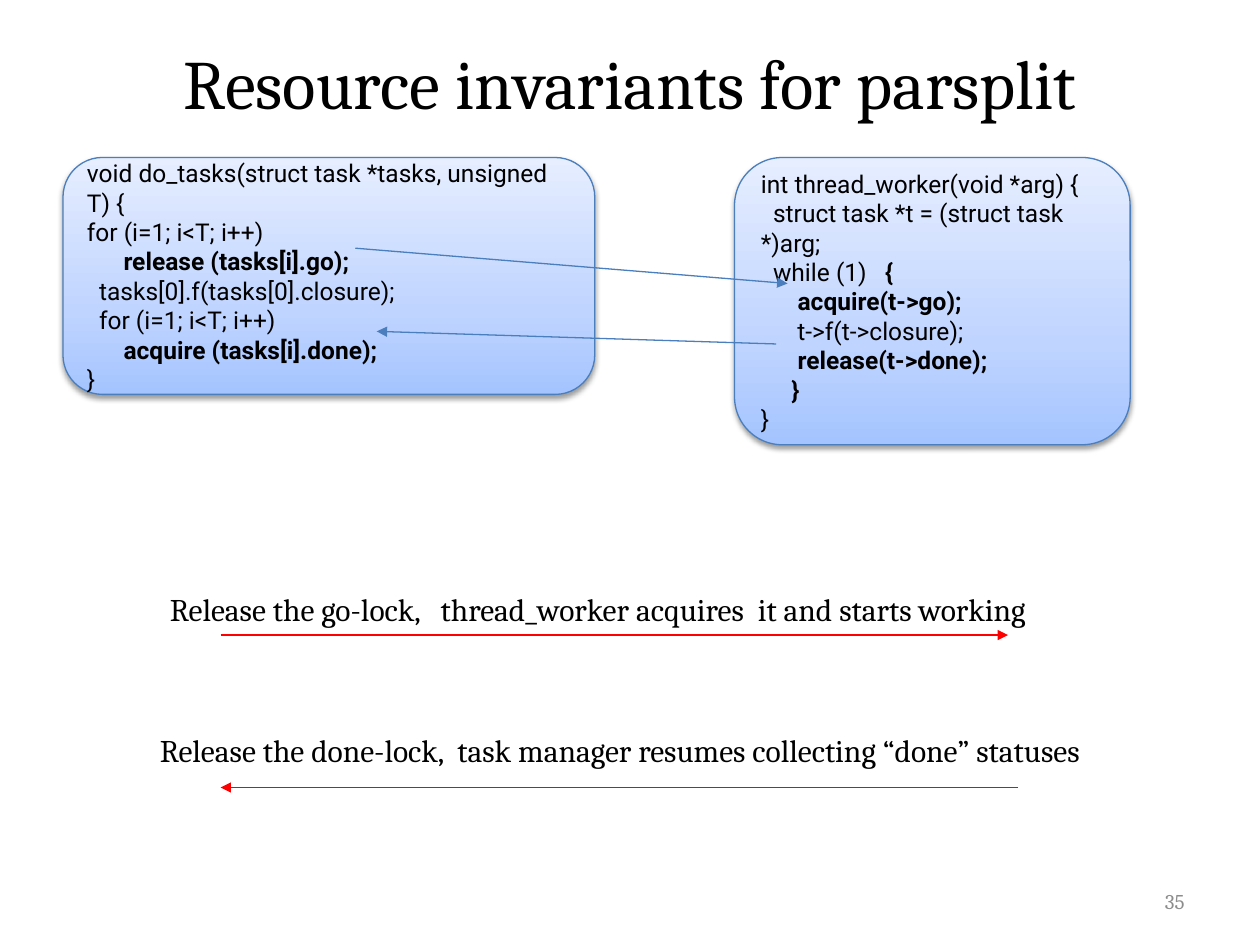
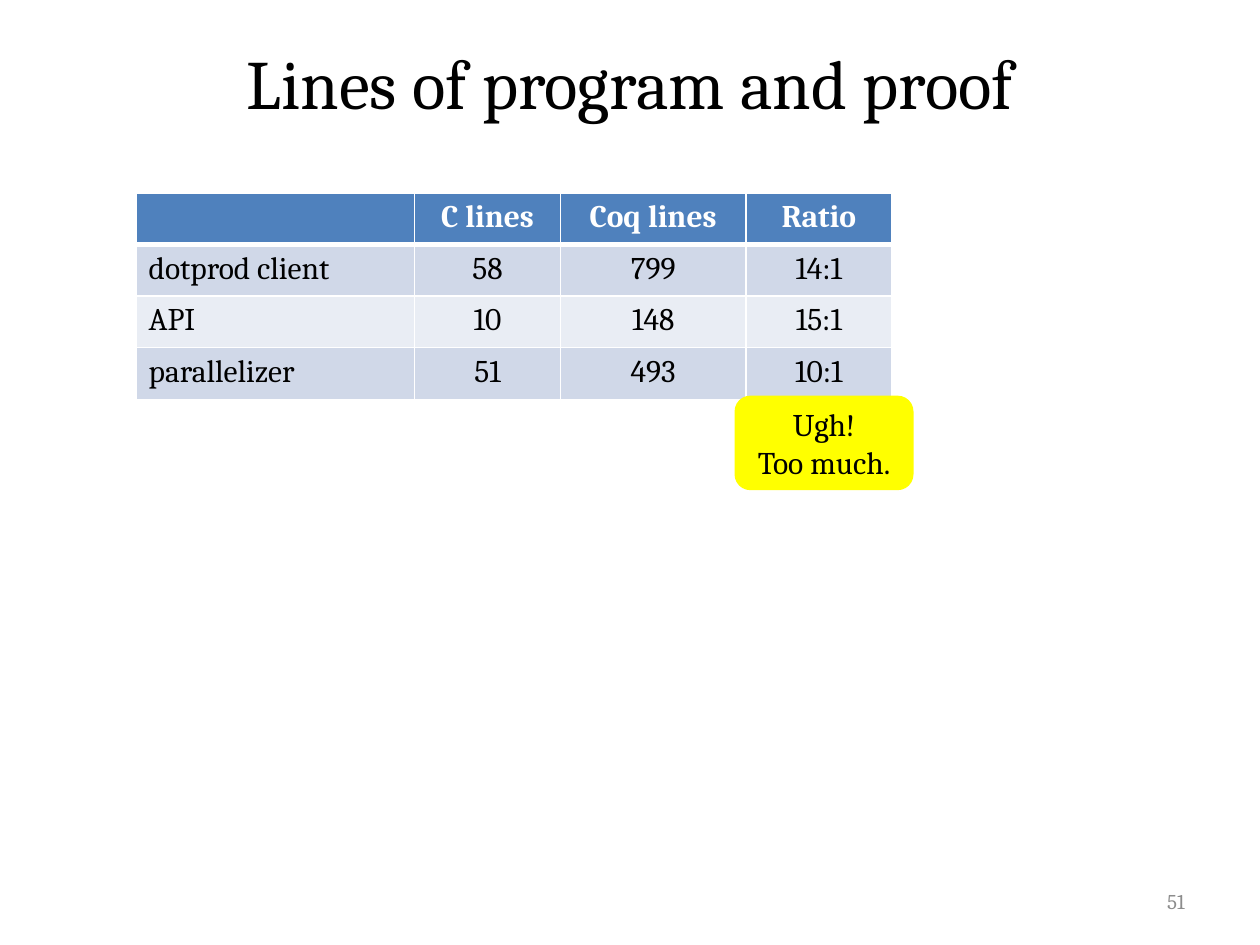
from copy import deepcopy
from dataclasses import dataclass

from lxml.etree import SubElement
from pptx import Presentation
from pptx.dml.color import RGBColor
from pptx.enum.shapes import MSO_CONNECTOR, MSO_SHAPE
from pptx.enum.text import MSO_ANCHOR, MSO_AUTO_SIZE, PP_ALIGN
from pptx.oxml.ns import qn
from pptx.util import Inches, Pt


@dataclass(frozen=True)
class Theme:
    font: str = "Cambria"
    code_font: str = "Roboto"
    title_size: float = 39.6
    body_size: float = 18
    code_size: float = 14
    number_size: float = 12
    line_width: float = 0.75
    black: str = "000000"
    white: str = "FFFFFF"
    gray: str = "8C8C8C"
    blue: str = "4B7EBC"
    red: str = "FF0000"
    yellow: str = "FFFF00"
    header: str = "4F81BD"
    bands: tuple = ("D0D8E8", "E9EDF4")
    gradient: tuple = ((0, "A4C4FF"), (0.35, "BFD4FF"), (1, "E6EEFF"))


def rgb(color):
    return RGBColor.from_string(color)


class Deck:
    def __init__(self, theme):
        self.theme = theme
        self.prs = Presentation()
        self.prs.slide_width, self.prs.slide_height = Inches(10), Inches(7.5)
        self.s = None

    def slide(self, title, number):
        t = self.theme
        self.s = self.prs.slides.add_slide(self.prs.slide_layouts[6])
        self.text(title, 0.5, 0.3, 9, 0.7, t.title_size, PP_ALIGN.CENTER)
        self.text(str(number), 7.17, 6.95, 2.33, 0.4, t.number_size, PP_ALIGN.RIGHT, t.gray)

    def style(self, tf, size, align=PP_ALIGN.LEFT, color=None, font=None):
        for p in tf.paragraphs:
            p.alignment = align
            for r in p.runs:
                r.font.name = font or self.theme.font
                r.font.size = Pt(size)
                r.font.color.rgb = rgb(color or self.theme.black)

    def text(self, words, x, y, w, h, size, align, color=None):
        tf = self.s.shapes.add_textbox(Inches(x), Inches(y), Inches(w), Inches(h)).text_frame
        tf.word_wrap = True
        tf.vertical_anchor = MSO_ANCHOR.MIDDLE
        tf.text = words
        self.style(tf, size, align, color)
        return tf

    def caption(self, words, x, y, w):
        tf = self.text(words, x, y, w, 0.4, self.theme.body_size, PP_ALIGN.LEFT)
        tf.vertical_anchor = MSO_ANCHOR.TOP
        tf.word_wrap = False
        tf.auto_size = MSO_AUTO_SIZE.SHAPE_TO_FIT_TEXT

    def box(self, x, y, w, h):
        sp = self.s.shapes.add_shape(
            MSO_SHAPE.ROUNDED_RECTANGLE, Inches(x), Inches(y), Inches(w), Inches(h))
        sp.shadow.inherit = False
        sp.text_frame.word_wrap = True
        sp.text_frame.vertical_anchor = MSO_ANCHOR.MIDDLE
        return sp

    def callout(self, words, x, y, w, h):
        sp = self.box(x, y, w, h)
        sp.fill.solid()
        sp.fill.fore_color.rgb = rgb(self.theme.yellow)
        sp.line.fill.background()
        sp.text_frame.text = words
        self.style(sp.text_frame, self.theme.body_size, PP_ALIGN.CENTER)

    def code(self, lines, x, y, w, h):
        t = self.theme
        sp = self.box(x, y, w, h)
        self.shade(sp)
        sp.line.color.rgb = rgb(t.blue)
        sp.line.width = Pt(t.line_width)
        tf = sp.text_frame
        tf.text = "\n".join(plain for plain, _ in lines)
        for p, (_, strong) in zip(tf.paragraphs, lines):
            if strong:
                r = p.add_run()
                r.text = strong
                r.font.bold = True
        self.style(tf, t.code_size, font=t.code_font)

    def shade(self, sp):
        sp.fill.gradient()
        sp.fill.gradient_angle = 90
        spPr = sp._element.spPr
        stops = spPr.find(qn("a:gradFill")).find(qn("a:gsLst"))
        stops.append(deepcopy(stops[-1]))
        for stop, (position, color) in zip(sp.fill.gradient_stops, self.theme.gradient):
            stop.position = position
            stop.color.rgb = rgb(color)
        shadow = SubElement(spPr.find(qn("a:effectLst")), qn("a:outerShdw"),
                            blurRad=str(Pt(3.1)), dist=str(Pt(1.6)), dir="5400000", rotWithShape="0")
        color = SubElement(shadow, qn("a:srgbClr"), val=self.theme.black)
        SubElement(color, qn("a:alpha"), val="38000")

    def arrow(self, x1, y1, x2, y2, color):
        c = self.s.shapes.add_connector(
            MSO_CONNECTOR.STRAIGHT, Inches(x1), Inches(y1), Inches(x2), Inches(y2))
        c.line.color.rgb = rgb(color)
        c.line.width = Pt(self.theme.line_width)
        SubElement(c.line._get_or_add_ln(), qn("a:tailEnd"), type="triangle")
        SubElement(c._element.spPr, qn("a:effectLst"))

    def table(self, rows, x, y, widths, row_height):
        t = self.theme
        table = self.s.shapes.add_table(
            len(rows), len(widths), Inches(x), Inches(y),
            Inches(sum(widths)), Inches(row_height * len(rows))).table
        for column, width in zip(table.columns, widths):
            column.width = Inches(width)
        for i, row in enumerate(rows):
            table.rows[i].height = Inches(row_height)
            for j, value in enumerate(row):
                cell = table.cell(i, j)
                cell.text = value
                align = PP_ALIGN.CENTER if j else PP_ALIGN.LEFT
                self.style(cell.text_frame, t.body_size, align, t.black if i else t.white)
                for r in cell.text_frame.paragraphs[0].runs:
                    r.font.bold = i == 0
                self.borders(cell, top=3 if i == 1 else 1, bottom=1 if i else 3)
                cell.fill.solid()
                cell.fill.fore_color.rgb = rgb(t.bands[(i - 1) % 2] if i else t.header)

    def borders(self, cell, top, bottom):
        tcPr = cell._tc.get_or_add_tcPr()
        for side, width in (("L", 1), ("R", 1), ("T", top), ("B", bottom)):
            ln = SubElement(tcPr, qn("a:ln" + side), w=str(Pt(width)))
            fill = SubElement(ln, qn("a:solidFill"))
            SubElement(fill, qn("a:srgbClr"), val=self.theme.white)


def invariants_slide(deck):
    t = deck.theme
    deck.slide("Resource invariants for parsplit", 35)
    deck.code([
        ("int thread_worker(void *arg) {", ""),
        ("  struct task *t = (struct task *)arg;", ""),
        ("  while (1)   ", "{"),
        ("", "      acquire(t->go);"),
        ("      t->f(t->closure);", ""),
        ("", "      release(t->done);"),
        ("", "     }"),
        ("}", ""),
    ], 5.83, 1.25, 3.14, 2.28)
    deck.code([
        ("void do_tasks(struct task *tasks, unsigned T) {", ""),
        ("for (i=1; i<T; i++)", ""),
        ("      ", "release (tasks[i].go);"),
        ("  tasks[0].f(tasks[0].closure);", ""),
        ("  for (i=1; i<T; i++)", ""),
        ("      ", "acquire (tasks[i].done);"),
        ("}", ""),
    ], 0.5, 1.25, 4.22, 1.88)
    deck.arrow(2.82, 1.97, 6.25, 2.25, t.blue)
    deck.arrow(6.16, 2.73, 2.99, 2.63, t.blue)
    deck.caption("Release the go-lock,   thread_worker acquires  it and starts working",
                 1.25, 4.63, 7.35)
    deck.caption("Release the done-lock,  task manager resumes collecting “done” statuses",
                 1.17, 5.75, 7.95)
    deck.arrow(1.75, 5.04, 8, 5.04, t.red)
    deck.arrow(8.08, 6.25, 1.75, 6.25, t.red)


def line_counts_slide(deck):
    deck.slide("Lines of program and proof", 51)
    deck.table([
        ("", "C lines", "Coq lines", "Ratio"),
        ("dotprod client", "58", "799", "14:1"),
        ("API", "10", "148", "15:1"),
        ("parallelizer", "51", "493", "10:1"),
    ], 1.08, 1.53, (2.21, 1.16, 1.47, 1.16), 0.41)
    deck.callout("Ugh!\nToo much.", 5.83, 3.14, 1.42, 0.75)


def main():
    deck = Deck(Theme())
    invariants_slide(deck)
    line_counts_slide(deck)
    deck.prs.save("out.pptx")


if __name__ == "__main__":
    main()
